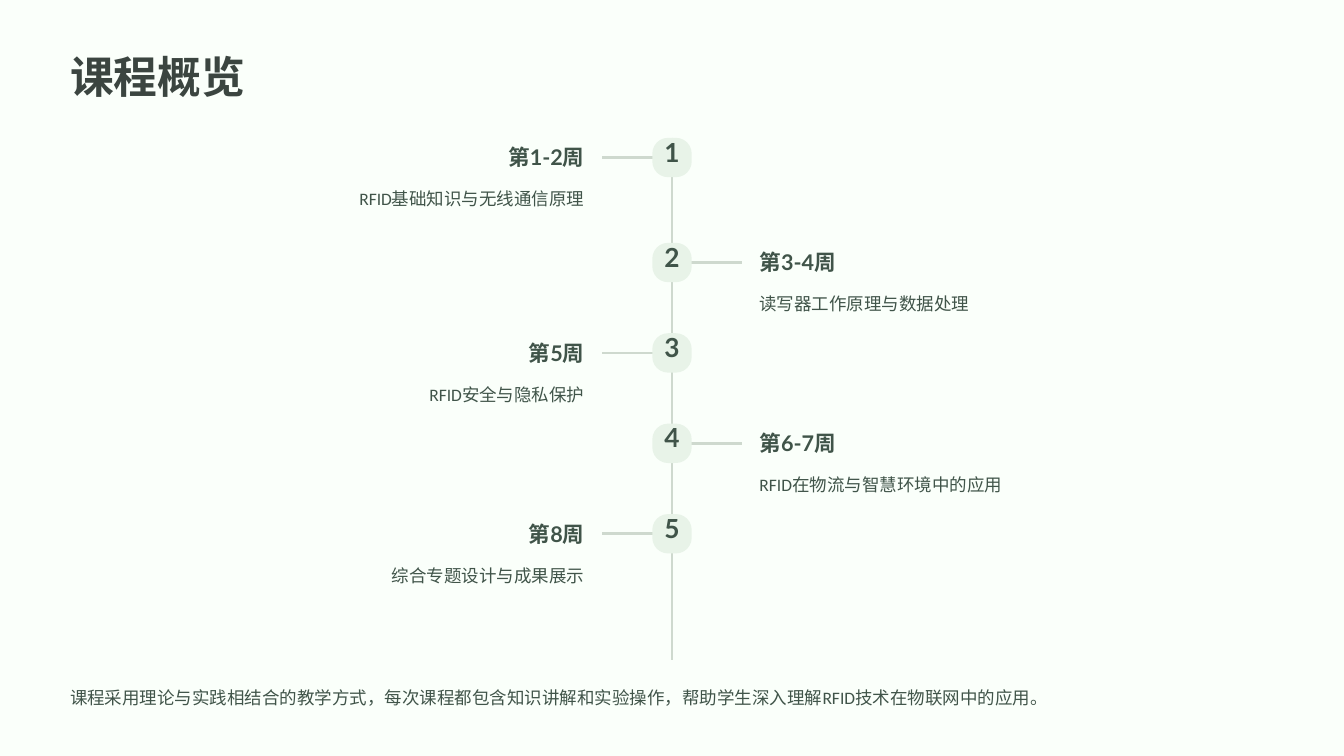
from dataclasses import dataclass

from lxml.etree import SubElement
from pptx import Presentation
from pptx.dml.color import RGBColor
from pptx.enum.shapes import MSO_CONNECTOR, MSO_SHAPE
from pptx.enum.text import MSO_ANCHOR, PP_ALIGN
from pptx.oxml.ns import qn
from pptx.slide import Slide
from pptx.util import Pt

BACKGROUND = RGBColor(0xFA, 0xFF, 0xFA)
TITLE = RGBColor(0x3B, 0x45, 0x40)
BODY = RGBColor(0x40, 0x54, 0x49)
LINE = RGBColor(0xCE, 0xD9, 0xCE)
BADGE = RGBColor(0xE8, 0xF3, 0xE8)

MARGIN = 60
SPINE_X = 576
SPINE_TOP = 118
SPINE_BOTTOM = 566
FIRST_Y = 135
SECOND_Y = 225
STEP = 77.5
BADGE_SIZE = 33.75
NUMBER_WIDTH = 22.5
BRANCH_START = 15
BRANCH_END = 60
TEXT_GAP = 75
WEEK_WIDTH = 187.5
TOPIC_WIDTH = 441


@dataclass(frozen=True)
class Stage:
    week: str
    topic: str


STAGES = [
    Stage("第1-2周", "RFID基础知识与无线通信原理"),
    Stage("第3-4周", "读写器工作原理与数据处理"),
    Stage("第5周", "RFID安全与隐私保护"),
    Stage("第6-7周", "RFID在物流与智慧环境中的应用"),
    Stage("第8周", "综合专题设计与成果展示"),
]


def add_text(s: Slide, text: str, *, left: float, top: float, width: float,
             height: float = 24, size: float = 15, spacing: float = 24,
             font: str = "Calibri", color: RGBColor = BODY, bold: bool = False,
             align: PP_ALIGN = PP_ALIGN.LEFT) -> None:
    tf = s.shapes.add_textbox(Pt(left), Pt(top), Pt(width), Pt(height)).text_frame
    tf.margin_left = tf.margin_right = tf.margin_top = tf.margin_bottom = 0
    tf.word_wrap = False
    tf.vertical_anchor = MSO_ANCHOR.TOP
    p = tf.paragraphs[0]
    p.alignment = align
    p.line_spacing = Pt(spacing)
    r = p.add_run()
    r.text = text
    r.font.name = font
    r.font.size = Pt(size)
    r.font.bold = bold
    r.font.color.rgb = color


def add_line(s: Slide, x1: float, y1: float, x2: float, y2: float) -> None:
    line = s.shapes.add_connector(MSO_CONNECTOR.STRAIGHT, Pt(x1), Pt(y1), Pt(x2), Pt(y2))
    line.line.color.rgb = LINE
    line.line.width = Pt(2.25)
    SubElement(line.element.spPr, qn("a:effectLst"))


def add_badge(s: Slide, number: int, y: float) -> None:
    half = BADGE_SIZE / 2
    sp = s.shapes.add_shape(MSO_SHAPE.ROUNDED_RECTANGLE, Pt(SPINE_X - half), Pt(y - half),
                            Pt(BADGE_SIZE), Pt(BADGE_SIZE))
    sp.adjustments[0] = 0.4
    sp.shadow.inherit = False
    sp.fill.solid()
    sp.fill.fore_color.rgb = BADGE
    sp.line.fill.background()
    add_text(s, str(number), left=SPINE_X - NUMBER_WIDTH / 2, top=y - 14,
             width=NUMBER_WIDTH, height=28, size=22.5, spacing=22.5,
             font="Lato", bold=True, align=PP_ALIGN.CENTER)


def add_stage(s: Slide, number: int, stage: Stage) -> None:
    y = FIRST_Y if number == 1 else SECOND_Y + (number - 2) * STEP
    on_left = number % 2 == 1
    side = -1 if on_left else 1
    align = PP_ALIGN.RIGHT if on_left else PP_ALIGN.LEFT
    edge = SPINE_X + side * TEXT_GAP
    add_line(s, SPINE_X + side * BRANCH_START, y, SPINE_X + side * BRANCH_END, y)
    add_badge(s, number, y)
    add_text(s, stage.week, left=edge - WEEK_WIDTH * on_left, top=y - 12, width=WEEK_WIDTH,
             size=18.5, spacing=23, font="Lato", bold=True, align=align)
    add_text(s, stage.topic, left=edge - TOPIC_WIDTH * on_left, top=y + 20.5,
             width=TOPIC_WIDTH, align=align)


def main() -> None:
    prs = Presentation()
    prs.slide_width, prs.slide_height = Pt(1152), Pt(648)
    s = prs.slides.add_slide(prs.slide_layouts[6])
    s.background.fill.solid()
    s.background.fill.fore_color.rgb = BACKGROUND

    add_text(s, "课程概览", left=MARGIN, top=41, width=375, height=46.5, size=37.5,
             spacing=46.5, font="Lato", color=TITLE, bold=True)
    add_line(s, SPINE_X, SPINE_TOP, SPINE_X, SPINE_BOTTOM)
    for number, stage in enumerate(STAGES, start=1):
        add_stage(s, number, stage)
    add_text(s, "课程采用理论与实践相结合的教学方式，每次课程都包含知识讲解和实验操作，"
             "帮助学生深入理解RFID技术在物联网中的应用。",
             left=MARGIN, top=583, width=1032)

    prs.save("out.pptx")


if __name__ == "__main__":
    main()
